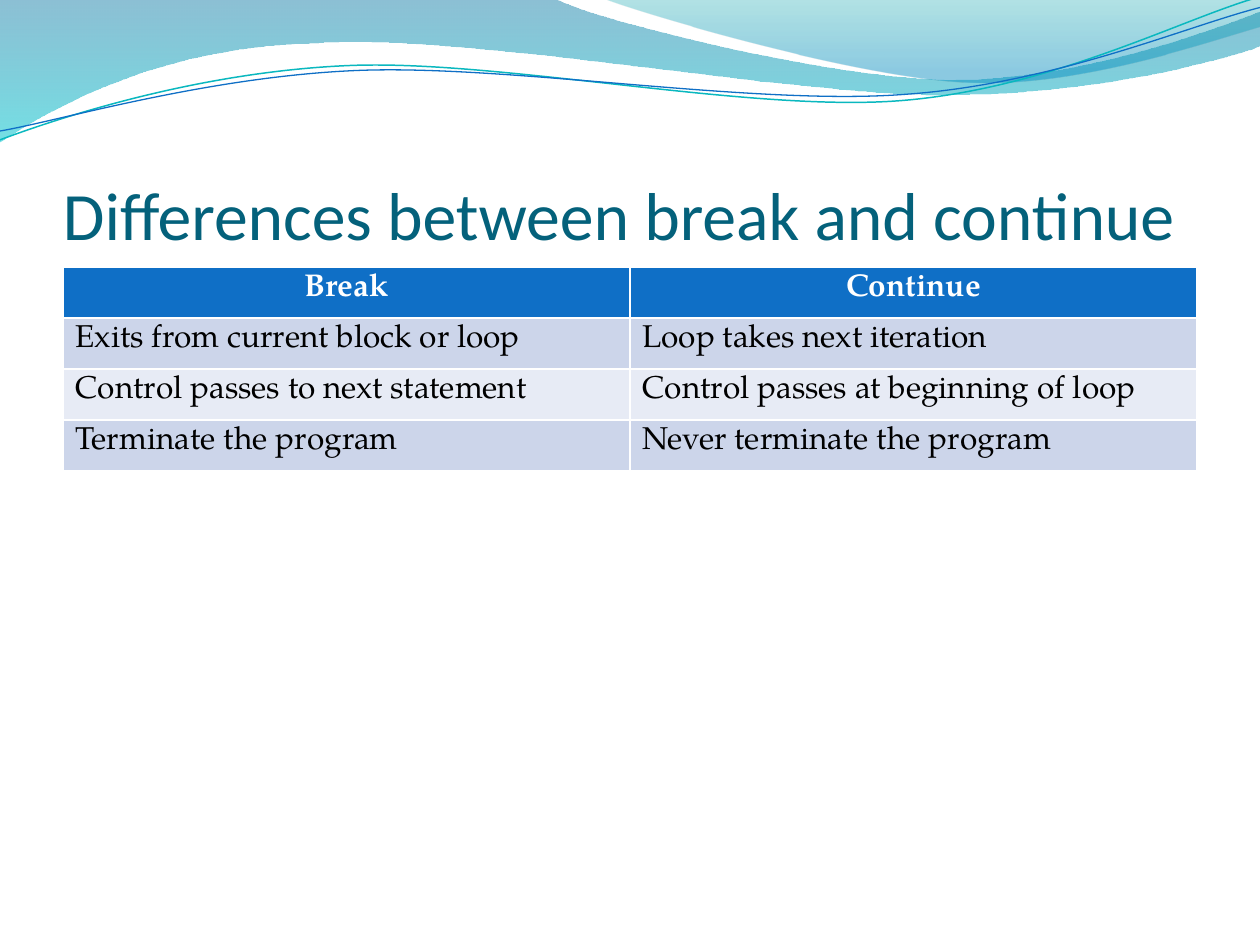
from dataclasses import dataclass
from math import cos, radians, sin

from lxml.etree import SubElement
from pptx import Presentation
from pptx.dml.color import RGBColor
from pptx.enum.text import MSO_ANCHOR as Anchor, PP_ALIGN as Align
from pptx.oxml.ns import qn
from pptx.util import Inches, Pt

Point = tuple[float, float]


@dataclass(frozen=True)
class Theme:
    title_font: str = "Calibri"
    body_font: str = "TeX Gyre Pagella"
    title_size: float = 38.7
    body_size: float = 18
    title: str = "04617B"
    header: str = "0F6FC6"
    header_text: str = "FFFFFF"
    body_text: str = "000000"
    bands: tuple[str, str] = ("CCD5EA", "E7EBF5")


@dataclass(frozen=True)
class Outline:
    start: Point
    segments: tuple[tuple[Point, ...], ...]


@dataclass(frozen=True)
class Stop:
    position: float
    color: str
    opacity: int


@dataclass(frozen=True)
class Wave:
    outline: Outline
    stops: tuple[Stop, Stop]


@dataclass(frozen=True)
class Ribbon:
    outline: Outline
    center: Point
    color: str
    width: float


THEME = Theme()
RIBBON_TILT = -2.7

WAVES = (
    Wave(
        Outline((0, 0), (
            ((4.4, -0.01),),
            ((4.76, 0.17), (6.64, 0.63), (7.58, 0.63)),
            ((8.53, 0.63), (9.58, 0.26), (10, 0.09)),
            ((10.01, 0.36),),
            ((9.83, 0.44), (8.7, 0.76), (7.46, 0.75)),
            ((6.22, 0.75), (3.82, 0.28), (2.57, 0.34)),
            ((1.29, 0.36), (0.46, 0.83), (-0.01, 1.13)),
            ((0, 0),),
        )),
        (Stop(0, "0074A1", 45), Stop(1, "00C6CF", 55)),
    ),
    Wave(
        Outline((4.79, -0.01), (
            ((5.09, 0.11), (6.82, 0.62), (7.69, 0.65)),
            ((8.56, 0.69), (9.61, 0.32), (10, 0.21)),
            ((10, 0),),
            ((4.79, -0.01),),
        )),
        (Stop(0, "00A1A9", 30), Stop(0.8, "008BBF", 45)),
    ),
)

RIBBONS = (
    Ribbon(
        Outline((0, 1.11), (
            ((0.48, 0.93), (1.58, 0.57), (2.77, 0.52)),
            ((3.95, 0.47), (5.93, 0.89), (7.13, 0.8)),
            ((8.33, 0.71), (9.38, 0.15), (9.98, -0.02)),
        )),
        (4.99, 0.58), "0AB8BF", 0.85,
    ),
    Ribbon(
        Outline((0, 1.04), (
            ((0.47, 0.96), (1.64, 0.61), (2.83, 0.56)),
            ((4.03, 0.51), (5.97, 0.84), (7.17, 0.75)),
            ((8.36, 0.67), (9.41, 0.21), (10, 0.06)),
        )),
        (5, 0.59), "0F6FC6", 0.75,
    ),
)

ROWS = (
    ("Break", "Continue"),
    ("Exits from current block or loop", "Loop takes next iteration"),
    ("Control passes to next statement", "Control passes at beginning of loop"),
    ("Terminate the program", "Never terminate the program"),
)


def rgb(value: str) -> RGBColor:
    return RGBColor.from_string(value)


def turn(point: Point, center: Point, degrees: float) -> Point:
    x, y = point[0] - center[0], point[1] - center[1]
    cosine, sine = cos(radians(degrees)), sin(radians(degrees))
    return center[0] + x * cosine - y * sine, center[1] + x * sine + y * cosine


def turn_outline(outline: Outline, center: Point, degrees: float) -> Outline:
    return Outline(
        turn(outline.start, center, degrees),
        tuple(
            tuple(turn(point, center, degrees) for point in segment)
            for segment in outline.segments
        ),
    )


def add_outline(slide, outline: Outline, closed: bool):
    points = [outline.start, *(point for segment in outline.segments for point in segment)]
    start, *rest = [(Inches(x), Inches(y)) for x, y in points]
    builder = slide.shapes.build_freeform(*start)
    builder.add_line_segments(rest, close=closed)
    shape = builder.convert_to_shape()
    shape.shadow.inherit = False
    lines = iter(list(shape.element.spPr.iter(qn("a:lnTo"))))
    for segment in outline.segments:
        first, *others = [next(lines) for _ in segment]
        if others:
            curve = first.makeelement(qn("a:cubicBezTo"))
            first.addprevious(curve)
            for line in (first, *others):
                curve.append(line[0])
                line.getparent().remove(line)
    return shape


def add_wave(slide, wave: Wave) -> None:
    shape = add_outline(slide, wave.outline, closed=True)
    shape.line.fill.background()
    shape.fill.gradient()
    shape.fill.gradient_angle = 270
    for gradient_stop, stop in zip(shape.fill.gradient_stops, wave.stops):
        gradient_stop.position = stop.position
        gradient_stop.color.rgb = rgb(stop.color)
    for color, stop in zip(shape.element.spPr.iter(qn("a:srgbClr")), wave.stops):
        SubElement(color, qn("a:alpha"), val=str(stop.opacity * 1000))


def add_ribbon(slide, ribbon: Ribbon) -> None:
    level = turn_outline(ribbon.outline, ribbon.center, -RIBBON_TILT)
    shape = add_outline(slide, level, closed=False)
    shape.rotation = RIBBON_TILT
    shape.fill.background()
    shape.line.color.rgb = rgb(ribbon.color)
    shape.line.width = Pt(ribbon.width)


def set_font(paragraph, name: str, size: float, color: str, bold: bool = False) -> None:
    paragraph.font.name = name
    paragraph.font.size = Pt(size)
    paragraph.font.bold = bold
    paragraph.font.color.rgb = rgb(color)


def add_comparison(slide, rows: tuple[tuple[str, str], ...]) -> None:
    table = slide.shapes.add_table(
        len(rows), len(rows[0]), Inches(0.5), Inches(2.12), Inches(9), Inches(1.62)
    ).table
    for row_index, texts in enumerate(rows):
        header = row_index == 0
        fill = THEME.header if header else THEME.bands[(row_index - 1) % 2]
        color = THEME.header_text if header else THEME.body_text
        for column_index, text in enumerate(texts):
            cell = table.cell(row_index, column_index)
            cell.fill.solid()
            cell.fill.fore_color.rgb = rgb(fill)
            cell.text = text
            paragraph = cell.text_frame.paragraphs[0]
            paragraph.alignment = Align.CENTER if header else Align.LEFT
            set_font(paragraph, THEME.body_font, THEME.body_size, color, header)


def add_title(slide, text: str) -> None:
    frame = slide.shapes.add_textbox(
        Inches(0.5), Inches(0.77), Inches(9), Inches(1.25)
    ).text_frame
    frame.word_wrap = True
    frame.vertical_anchor = Anchor.BOTTOM
    frame.margin_left = frame.margin_right = frame.margin_bottom = 0
    frame.text = text
    set_font(frame.paragraphs[0], THEME.title_font, THEME.title_size, THEME.title)


def main() -> None:
    presentation = Presentation()
    presentation.slide_width, presentation.slide_height = Inches(10), Inches(7.5)
    slide = presentation.slides.add_slide(presentation.slide_layouts[6])
    for wave in WAVES:
        add_wave(slide, wave)
    for ribbon in RIBBONS:
        add_ribbon(slide, ribbon)
    add_comparison(slide, ROWS)
    add_title(slide, "Differences between break and continue")
    presentation.save("out.pptx")


if __name__ == "__main__":
    main()
